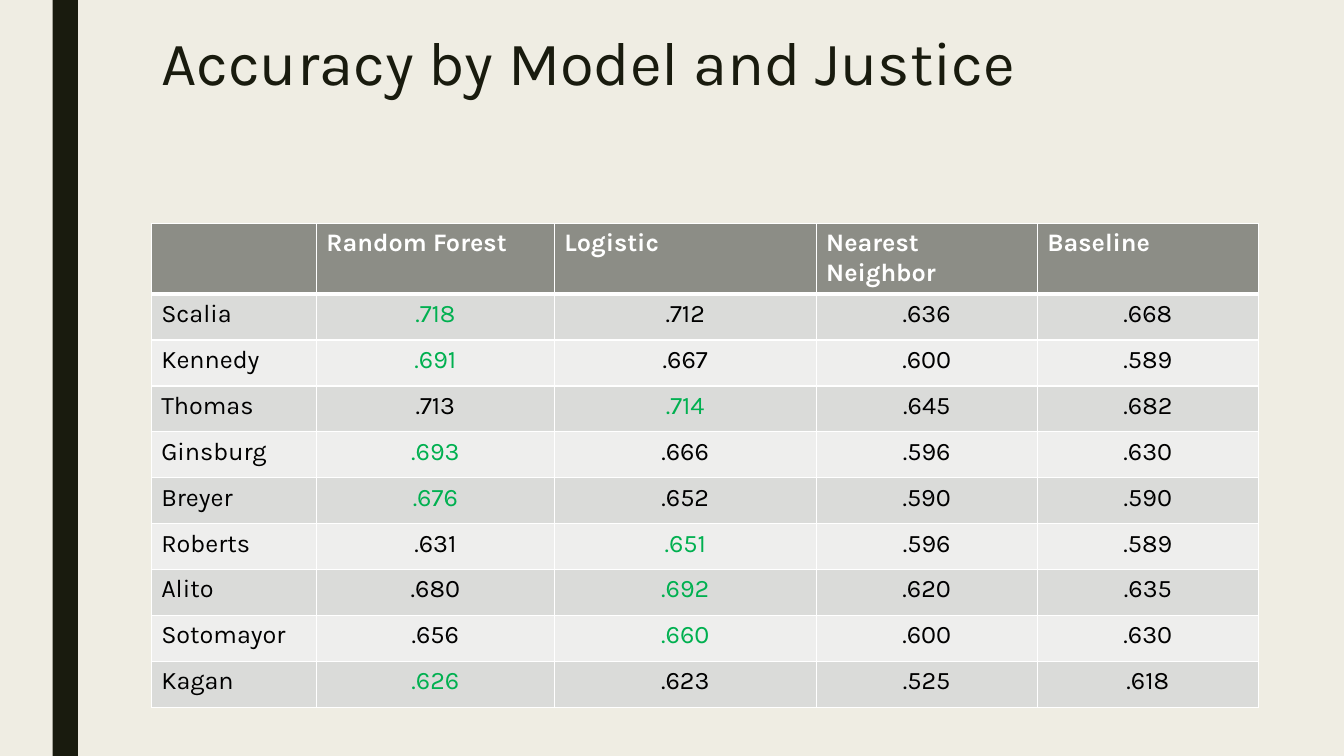
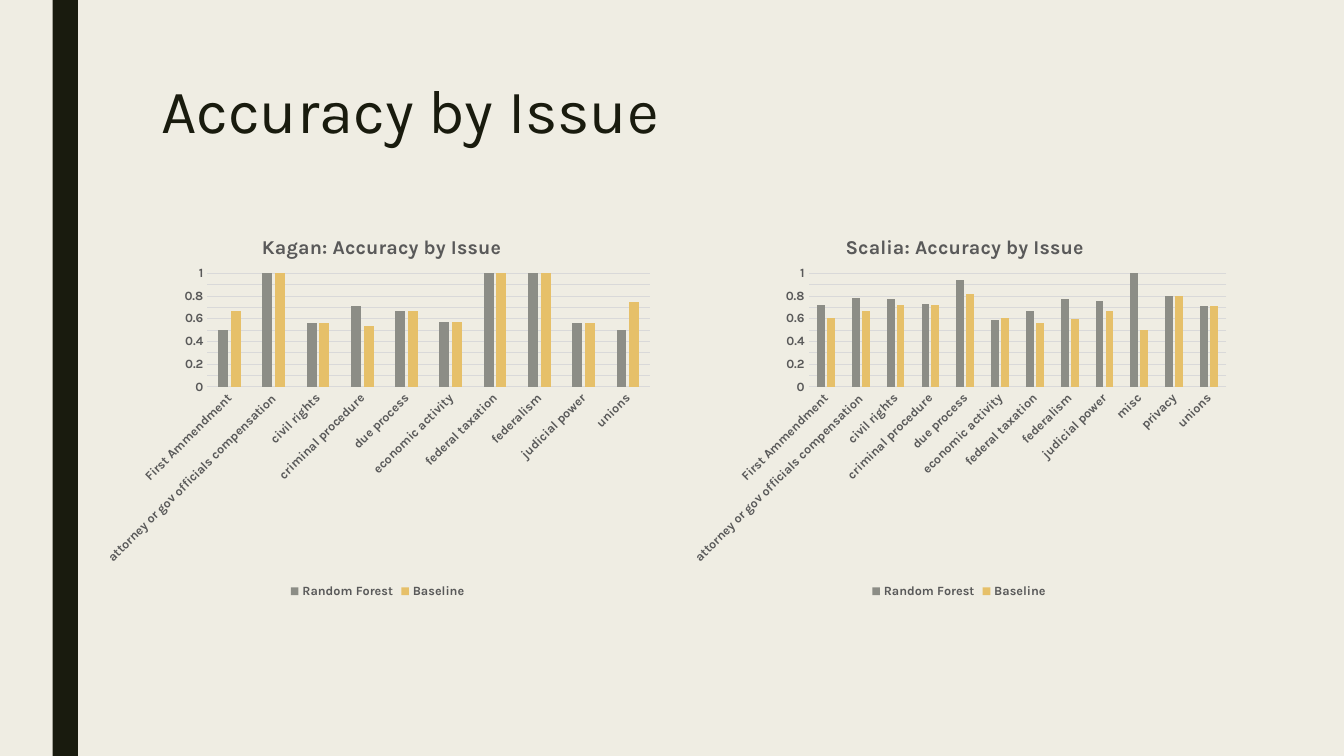
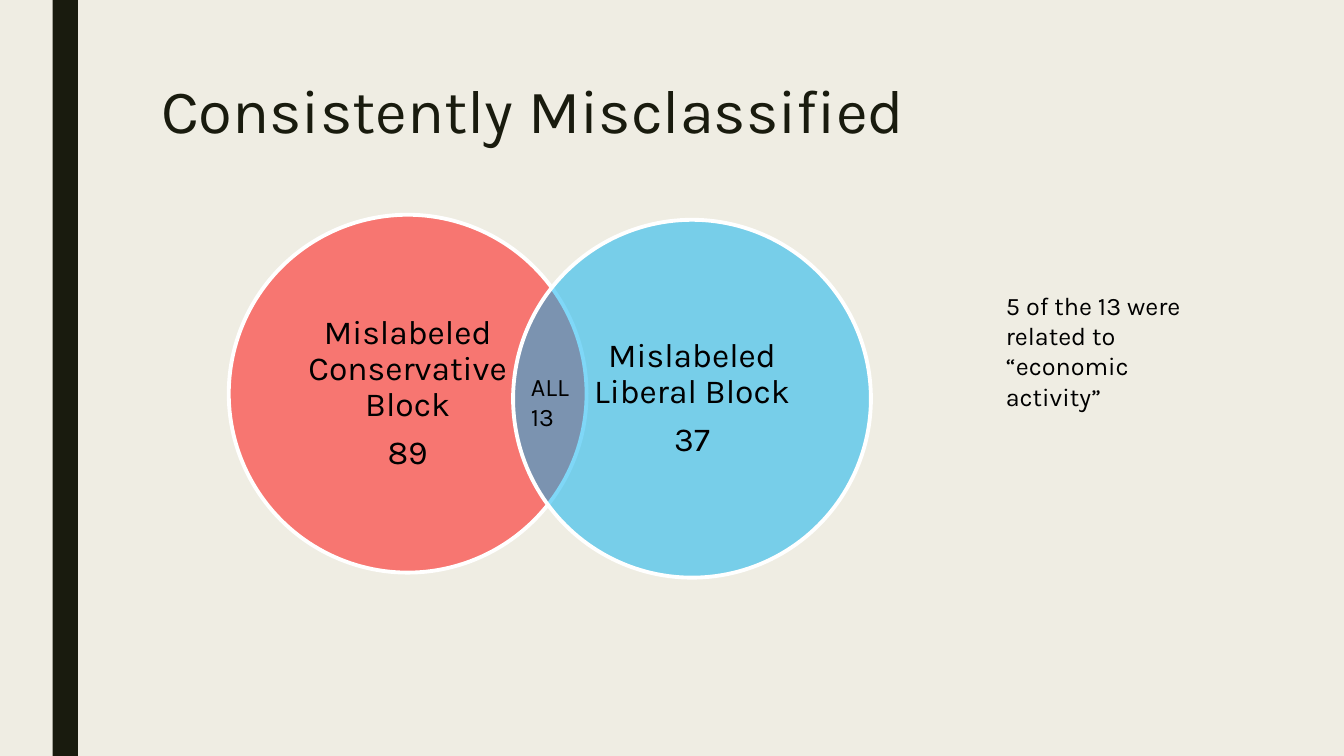
from dataclasses import dataclass

from lxml import etree
from pptx import Presentation
from pptx import util as u
from pptx.chart import data
from pptx.dml.color import RGBColor
from pptx.enum import chart as charts, shapes, text
from pptx.oxml.ns import qn

Pt = u.Pt


@dataclass(frozen=True)
class Theme:
    font: str = "Karla"
    paper: str = "EFEDE3"
    ink: str = "191B0E"
    black: str = "000000"
    white: str = "FFFFFF"
    gray: str = "8C8D86"
    gold: str = "E6C069"
    best: str = "00B050"
    stripes: tuple = ("DADBD9", "EEEEED")
    red: str = "FF0000"
    blue: str = "00B0F0"
    chart_text: str = "595959"
    grid: str = "D9D9D9"
    title_size: float = 44
    circle_size: float = 24
    body_size: float = 18
    chart_title_size: float = 14
    axis_size: float = 9


THEME = Theme()


def rgb(value):
    return RGBColor.from_string(value)


def paint(fill, color, alpha=None):
    fill.solid()
    fill.fore_color.rgb = rgb(color)
    if alpha is not None:
        srgb = fill._xPr.find(".//" + qn("a:srgbClr"))
        etree.SubElement(srgb, qn("a:alpha"), val=str(alpha * 1000))


def style_font(font, size, color, bold=False):
    font.name, font.size, font.bold = THEME.font, Pt(size), bold
    font.color.rgb = rgb(color)


def write(frame, content, size=THEME.body_size, color=THEME.black, bold=False,
          align=text.PP_ALIGN.LEFT, line=None, after=None):
    """Fill a text frame, one paragraph for each line of content."""
    for i, words in enumerate(content.split("\n")):
        paragraph = frame.add_paragraph() if i else frame.paragraphs[0]
        paragraph.alignment = align
        if line is not None:
            paragraph.line_spacing = line
        if after is not None:
            paragraph.space_after = Pt(after)
        run = paragraph.add_run()
        run.text = words
        style_font(run.font, size, color, bold)


def set_borders(cell, bottom):
    properties = cell._tc.get_or_add_tcPr()
    for i, side in enumerate(("lnL", "lnR", "lnT", "lnB")):
        width = bottom if side == "lnB" else 1
        edge = etree.Element(qn("a:" + side), w=str(Pt(width)))
        solid = etree.SubElement(edge, qn("a:solidFill"))
        etree.SubElement(solid, qn("a:srgbClr"), val=THEME.white)
        properties.insert(i, edge)


def set_layout(element, index, target=None, **fractions):
    """Place a chart part by fractions of the chart's size."""
    for old in element.findall(qn("c:layout")):
        element.remove(old)
    layout = etree.Element(qn("c:layout"))
    manual = etree.SubElement(layout, qn("c:manualLayout"))
    if target:
        etree.SubElement(manual, qn("c:layoutTarget"), val=target)
    for mode in ("xMode", "yMode"):
        etree.SubElement(manual, qn("c:" + mode), val="edge")
    for name, value in fractions.items():
        etree.SubElement(manual, qn("c:" + name), val=str(value))
    element.insert(index, layout)


class Deck:
    def __init__(self):
        self.prs = Presentation()
        self.prs.slide_width, self.prs.slide_height = Pt(960), Pt(540)
        self.slide = None

    def new_slide(self, title, title_top=54):
        self.slide = self.prs.slides.add_slide(self.prs.slide_layouts[6])
        paint(self.slide.background.fill, THEME.paper)
        self.shape(shapes.MSO_SHAPE.RECTANGLE, 37.6, 0, 18, 540, THEME.ink)
        self.label(title, 108, title_top, 756, 117,
                   size=THEME.title_size, color=THEME.ink, line=0.89)

    def shape(self, preset, left, top, width, height, color, alpha=None, outline=None):
        shape = self.slide.shapes.add_shape(
            preset, Pt(left), Pt(top), Pt(width), Pt(height))
        shape.shadow.inherit = False
        paint(shape.fill, color, alpha)
        if outline:
            paint(shape.line.fill, THEME.white)
            shape.line.width = Pt(outline)
        else:
            shape.line.fill.background()
        return shape

    def label(self, content, left, top, width, height, **style):
        frame = self.slide.shapes.add_textbox(
            Pt(left), Pt(top), Pt(width), Pt(height)).text_frame
        frame.word_wrap = True
        write(frame, content, **style)

    def circle(self, content, left, top, diameter, color):
        circle = self.shape(shapes.MSO_SHAPE.OVAL, left, top, diameter, diameter,
                            color, alpha=50, outline=2.75)
        frame = circle.text_frame
        frame.word_wrap = True
        frame.vertical_anchor = text.MSO_ANCHOR.MIDDLE
        frame.margin_left = frame.margin_right = Pt(7.2)
        frame.margin_top = frame.margin_bottom = Pt(7.2)
        write(frame, content, size=THEME.circle_size,
              align=text.PP_ALIGN.CENTER, line=0.9, after=8.4)

    def score_table(self, header, scores, left, top, widths, row_height):
        """Draw a table with the best score of each row in green."""
        table = self.slide.shapes.add_table(
            len(scores) + 1, len(header), Pt(left), Pt(top),
            Pt(sum(widths)), Pt(row_height * (len(scores) + 1))).table
        for column, width in zip(table.columns, widths):
            column.width = Pt(width)
        for r, row in enumerate([header, *scores]):
            table.rows[r].height = Pt(row_height)
            best = max(row[1:])
            for c, value in enumerate(row):
                cell = table.cell(r, c)
                if r == 0:
                    paint(cell.fill, THEME.gray)
                    style = dict(color=THEME.white, bold=True)
                else:
                    paint(cell.fill, THEME.stripes[(r - 1) % 2])
                    style = dict(color=THEME.best if value == best else THEME.black)
                    if c:
                        style["align"] = text.PP_ALIGN.CENTER
                set_borders(cell, bottom=1 if r else 3)
                write(cell.text_frame, value, **style)

    def column_chart(self, title, categories, series, left, top, width, height,
                     plot_left, plot_width):
        values = data.CategoryChartData()
        values.categories = categories
        for name, numbers in series.items():
            values.add_series(name, numbers)
        chart = self.slide.shapes.add_chart(
            charts.XL_CHART_TYPE.COLUMN_CLUSTERED, Pt(left), Pt(top),
            Pt(width), Pt(height), values).chart
        small = dict(size=THEME.axis_size, color=THEME.chart_text, bold=True)
        style_font(chart.font, **small)

        chart.has_title = True
        write(chart.chart_title.text_frame, title, size=THEME.chart_title_size,
              color=THEME.chart_text, bold=True, align=text.PP_ALIGN.CENTER)
        set_layout(chart.chart_title._element, 1, x=0.29, y=0.05)
        set_layout(chart._chartSpace.chart.plotArea, 0, "inner",
                   x=plot_left, y=0.16, w=plot_width, h=0.29)

        chart.has_legend = True
        chart.legend.position = charts.XL_LEGEND_POSITION.BOTTOM
        chart.legend.include_in_layout = False
        style_font(chart.legend.font, **small)

        plot = chart.plots[0]
        plot.gap_width, plot.overlap, plot.vary_by_categories = 219, -27, False
        for bars, color in zip(plot.series, (THEME.gray, THEME.gold)):
            paint(bars.format.fill, color)

        scale, issues = chart.value_axis, chart.category_axis
        for axis in (scale, issues):
            style_font(axis.tick_labels.font, **small)
            axis.major_tick_mark = axis.minor_tick_mark = charts.XL_TICK_MARK.NONE
        scale.minimum_scale, scale.maximum_scale, scale.major_unit = 0, 1, 0.1
        scale.format.line.fill.background()
        for line in (scale.major_gridlines.format.line, issues.format.line):
            paint(line.fill, THEME.grid)
            line.width = Pt(0.75)
        body = issues._element.find(qn("c:txPr")).find(qn("a:bodyPr"))
        body.set("rot", str(-45 * 60000))


MODELS = ["", "Random Forest", "Logistic", "Nearest Neighbor", "Baseline"]
SCORES = [
    ("Scalia", ".718", ".712", ".636", ".668"),
    ("Kennedy", ".691", ".667", ".600", ".589"),
    ("Thomas", ".713", ".714", ".645", ".682"),
    ("Ginsburg", ".693", ".666", ".596", ".630"),
    ("Breyer", ".676", ".652", ".590", ".590"),
    ("Roberts", ".631", ".651", ".596", ".589"),
    ("Alito", ".680", ".692", ".620", ".635"),
    ("Sotomayor", ".656", ".660", ".600", ".630"),
    ("Kagan", ".626", ".623", ".525", ".618"),
]
SHARED_ISSUES = [
    "First Ammendment", "attorney or gov officials compensation", "civil rights",
    "criminal procedure", "due process", "economic activity", "federal taxation",
    "federalism", "judicial power",
]
KAGAN = {
    "Random Forest": (0.5, 1, 0.56, 0.71, 0.67, 0.57, 1, 1, 0.56, 0.5),
    "Baseline": (0.67, 1, 0.56, 0.54, 0.67, 0.57, 1, 1, 0.56, 0.75),
}
SCALIA = {
    "Random Forest": (0.72, 0.78, 0.77, 0.73, 0.94, 0.59,
                      0.67, 0.77, 0.76, 1, 0.8, 0.71),
    "Baseline": (0.61, 0.67, 0.72, 0.72, 0.82, 0.61,
                 0.56, 0.6, 0.67, 0.5, 0.8, 0.71),
}


def main():
    deck = Deck()

    deck.new_slide("Accuracy by Model and Justice", title_top=20)
    deck.score_table(MODELS, SCORES, 108, 159.6, (118, 170, 187, 158, 158), 32.85)

    deck.new_slide("Accuracy by Issue")
    deck.column_chart("Kagan: Accuracy by Issue", SHARED_ISSUES + ["unions"], KAGAN,
                      67, 150.5, 405.4, 280, plot_left=0.2, plot_width=0.78)
    deck.column_chart("Scalia: Accuracy by Issue",
                      SHARED_ISSUES + ["misc", "privacy", "unions"], SCALIA,
                      486, 150.5, 398, 280, plot_left=0.23, plot_width=0.75)

    deck.new_slide("Consistently Misclassified")
    deck.circle("Mislabeled Conservative Block\n89", 163.4, 153.4, 255.6, THEME.red)
    deck.circle("Mislabeled Liberal Block\n37", 366.5, 157, 255.6, THEME.blue)
    deck.label("ALL\n13", 372.2, 261.4, 52, 51)
    deck.label("5 of the 13 were related to “economic activity”",
               711.4, 203.8, 165.6, 72.7)

    deck.prs.save("out.pptx")


if __name__ == "__main__":
    main()
